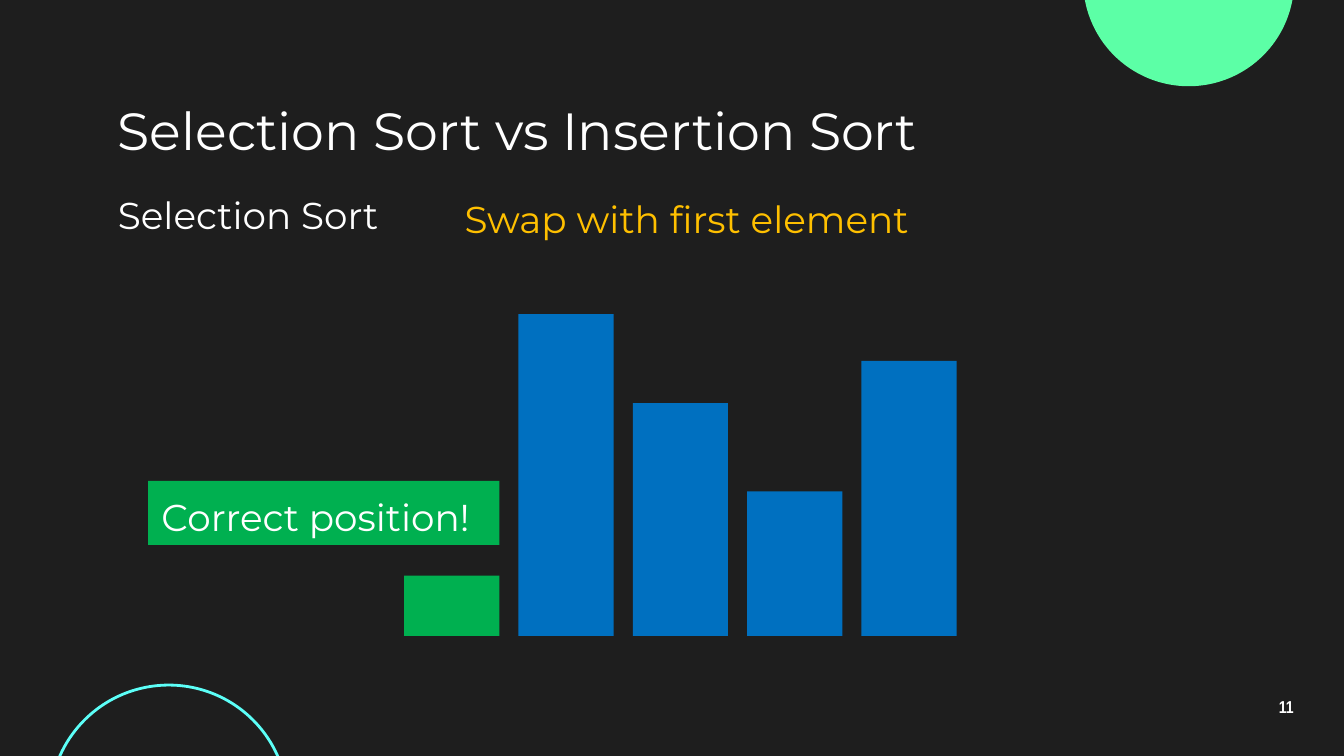
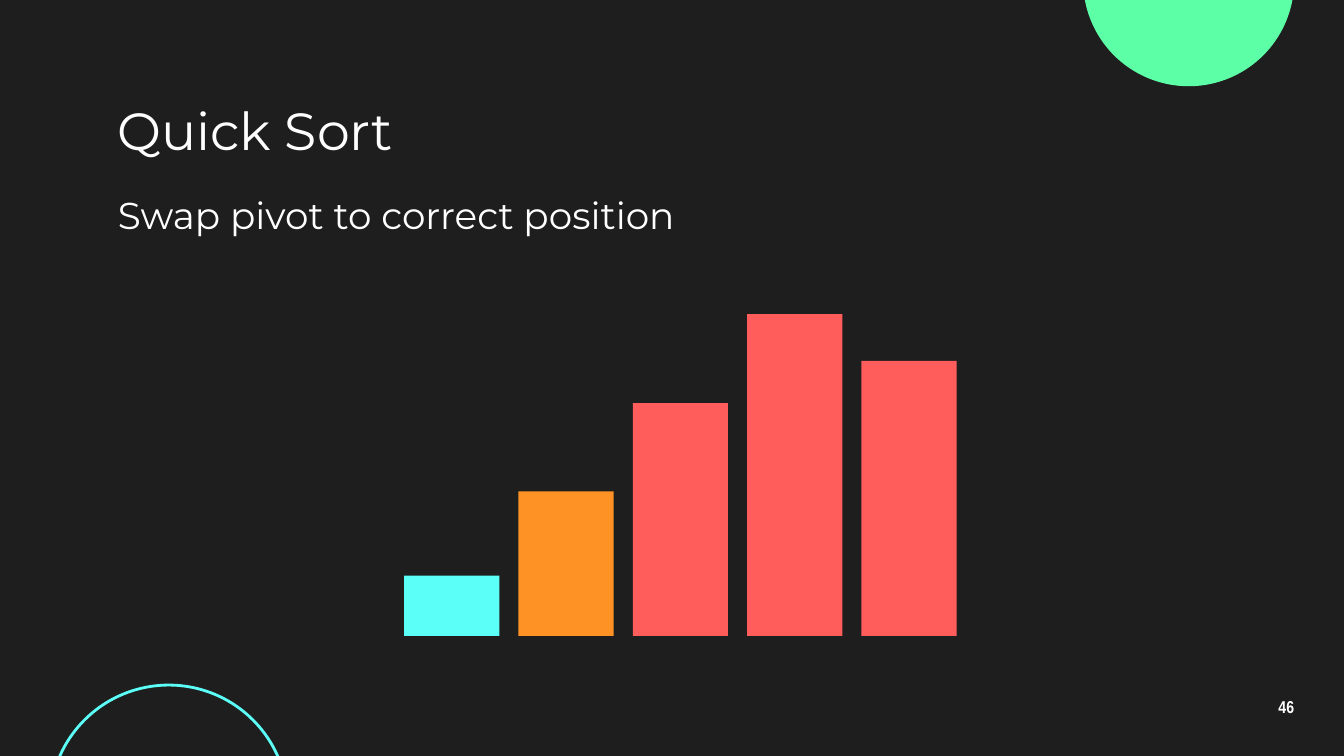
from dataclasses import dataclass

from pptx import Presentation
from pptx.dml.color import RGBColor
from pptx.enum.shapes import MSO_SHAPE
from pptx.enum.text import MSO_ANCHOR, PP_ALIGN
from pptx.shapes.autoshape import Shape
from pptx.slide import Slide
from pptx.util import Cm, Pt

RECTANGLE, OVAL = MSO_SHAPE.RECTANGLE, MSO_SHAPE.OVAL
TOP, MIDDLE = MSO_ANCHOR.TOP, MSO_ANCHOR.MIDDLE
LEFT, CENTER = PP_ALIGN.LEFT, PP_ALIGN.CENTER

BACKGROUND = RGBColor(0x1E, 0x1E, 0x1E)
WHITE = RGBColor(0xFF, 0xFF, 0xFF)
MINT = RGBColor(0x5C, 0xFF, 0xA6)
CYAN = RGBColor(0x5C, 0xFF, 0xF8)
BLUE = RGBColor(0x00, 0x70, 0xC0)
GREEN = RGBColor(0x00, 0xB0, 0x50)
AMBER = RGBColor(0xFF, 0xC0, 0x00)
ORANGE = RGBColor(0xFF, 0x92, 0x25)
CORAL = RGBColor(0xFF, 0x5C, 0x5C)

BODY_FONT, NUMBER_FONT = "Montserrat", "Arial Narrow"

# Bar row, in centimetres; heights are looked up by the value being sorted
BARS_LEFT, BARS_BASE = 7.64, 12.02
BAR_WIDTH, BAR_PITCH = 1.8, 2.16
BAR_HEIGHTS = {1: 1.14, 2: 2.73, 3: 4.4, 4: 5.2, 5: 6.08}


@dataclass(frozen=True)
class Box:
    """Position and size in centimetres."""
    left: float
    top: float
    width: float
    height: float

    def lengths(self) -> tuple[Cm, Cm, Cm, Cm]:
        return Cm(self.left), Cm(self.top), Cm(self.width), Cm(self.height)


@dataclass(frozen=True)
class TextStyle:
    size: float
    font: str = BODY_FONT
    color: RGBColor = WHITE
    bold: bool = False
    align: PP_ALIGN = LEFT
    anchor: MSO_ANCHOR = TOP
    line_spacing: float = 1.0


@dataclass(frozen=True)
class Bar:
    value: int
    color: RGBColor


MINT_DISC = Box(20.47, -2.36, 3.99, 3.99)
CYAN_RING = Box(0.94, 12.95, 4.5, 4.5)
TITLE = Box(1.98, 1.8, 21.44, 1.3)
SUBTITLE = Box(1.98, 3.38, 16.48, 1.47)
PAGE_NUMBER = Box(23.55, 12.95, 1.52, 0.86)
SWAP_HINT = Box(8.53, 3.45, 9.22, 1.22)
POSITION_LABEL = Box(2.8, 9.09, 6.64, 1.21)

TITLE_STYLE = TextStyle(28, anchor=MIDDLE)
BODY_STYLE = TextStyle(20)
HINT_STYLE = TextStyle(20, color=AMBER)
NUMBER_STYLE = TextStyle(9.2, NUMBER_FONT, bold=True, align=CENTER,
                         anchor=MIDDLE, line_spacing=0.9)


def write_text(shape: Shape, text: str, style: TextStyle) -> None:
    frame = shape.text_frame
    frame.word_wrap = True
    frame.vertical_anchor = style.anchor
    frame.margin_left = frame.margin_right = Cm(0.25)
    frame.margin_top = frame.margin_bottom = Cm(0.25)
    paragraph = frame.paragraphs[0]
    paragraph.text = text
    paragraph.alignment = style.align
    paragraph.line_spacing = style.line_spacing
    paragraph.font.name = style.font
    paragraph.font.size = Pt(style.size)
    paragraph.font.bold = style.bold
    paragraph.font.color.rgb = style.color


def add_text(slide: Slide, box: Box, text: str, style: TextStyle) -> None:
    write_text(slide.shapes.add_textbox(*box.lengths()), text, style)


def add_filled(slide: Slide, kind: MSO_SHAPE, box: Box, color: RGBColor) -> Shape:
    shape = slide.shapes.add_shape(kind, *box.lengths())
    shape.shadow.inherit = False
    shape.fill.solid()
    shape.fill.fore_color.rgb = color
    shape.line.fill.background()
    return shape


def add_ring(slide: Slide, box: Box, color: RGBColor) -> None:
    ring = slide.shapes.add_shape(OVAL, *box.lengths())
    ring.shadow.inherit = False
    ring.fill.background()
    ring.line.color.rgb = color
    ring.line.width = Pt(1.5)


def add_bars(slide: Slide, bars: list[Bar]) -> None:
    for place, bar in enumerate(bars):
        height = BAR_HEIGHTS[bar.value]
        box = Box(BARS_LEFT + place * BAR_PITCH, BARS_BASE - height, BAR_WIDTH, height)
        add_filled(slide, RECTANGLE, box, bar.color)


def add_sort_slide(deck: Presentation, number: int, title: str, subtitle: str,
                   bars: list[Bar]) -> Slide:
    slide = deck.slides.add_slide(deck.slide_layouts[6])
    slide.background.fill.solid()
    slide.background.fill.fore_color.rgb = BACKGROUND
    # Shared decoration and page number
    add_filled(slide, OVAL, MINT_DISC, MINT)
    add_ring(slide, CYAN_RING, CYAN)
    add_text(slide, PAGE_NUMBER, str(number), NUMBER_STYLE)
    # Headings and the array being sorted
    add_text(slide, TITLE, title, TITLE_STYLE)
    add_text(slide, SUBTITLE, subtitle, BODY_STYLE)
    add_bars(slide, bars)
    return slide


def main() -> None:
    deck = Presentation()
    deck.slide_width, deck.slide_height = Cm(25.4), Cm(14.29)

    # Selection sort: smallest value is in place
    selection = add_sort_slide(
        deck, 11, "Selection Sort vs Insertion Sort", "Selection Sort",
        [Bar(1, GREEN), Bar(5, BLUE), Bar(3, BLUE), Bar(2, BLUE), Bar(4, BLUE)])
    add_text(selection, SWAP_HINT, "Swap with first element", HINT_STYLE)
    position_label = add_filled(selection, RECTANGLE, POSITION_LABEL, GREEN)
    write_text(position_label, "Correct position!", BODY_STYLE)

    # Quick sort: pivot sits between smaller and larger values
    add_sort_slide(
        deck, 46, "Quick Sort", "Swap pivot to correct position",
        [Bar(1, CYAN), Bar(2, ORANGE), Bar(3, CORAL), Bar(5, CORAL), Bar(4, CORAL)])

    deck.save("out.pptx")


if __name__ == "__main__":
    main()
